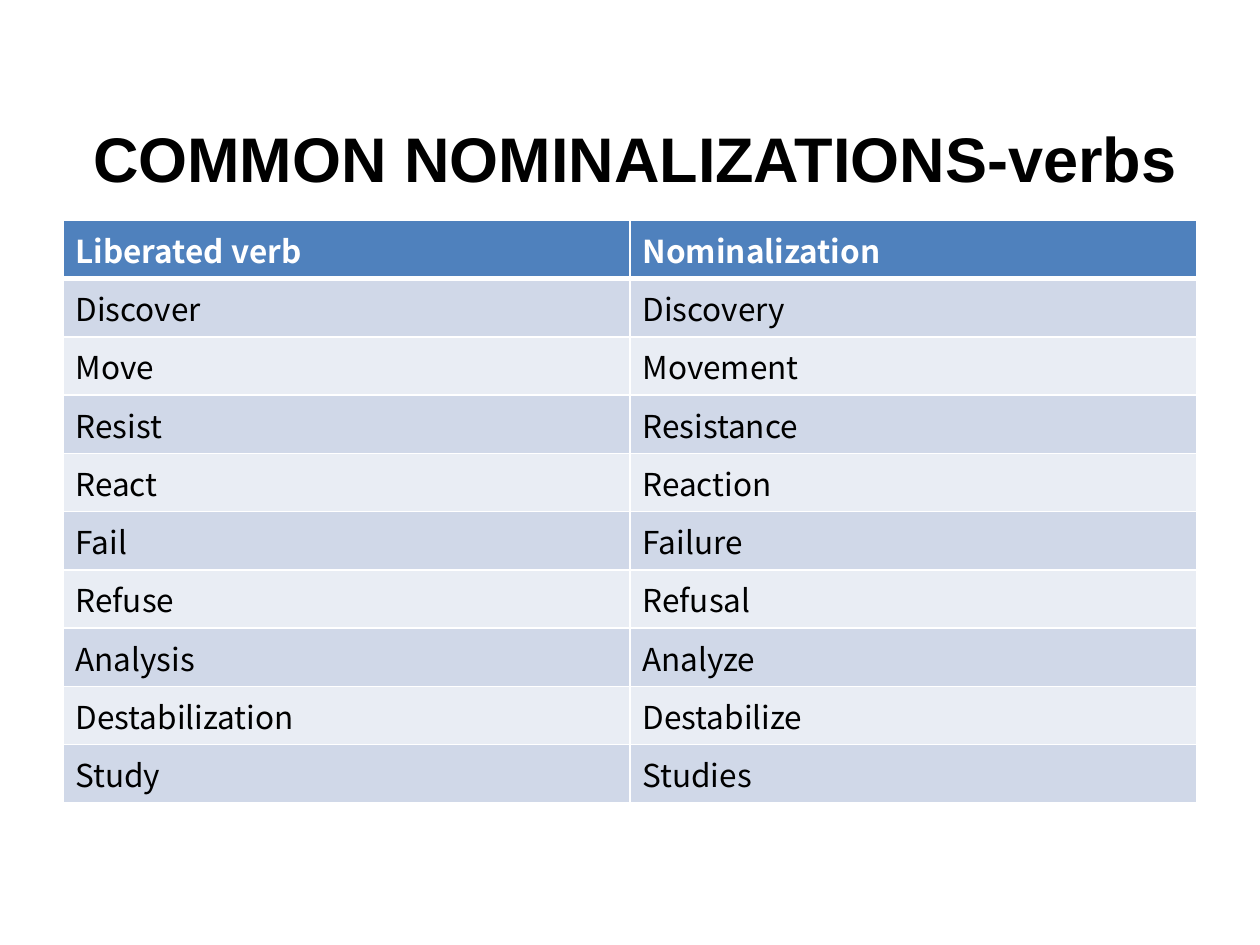
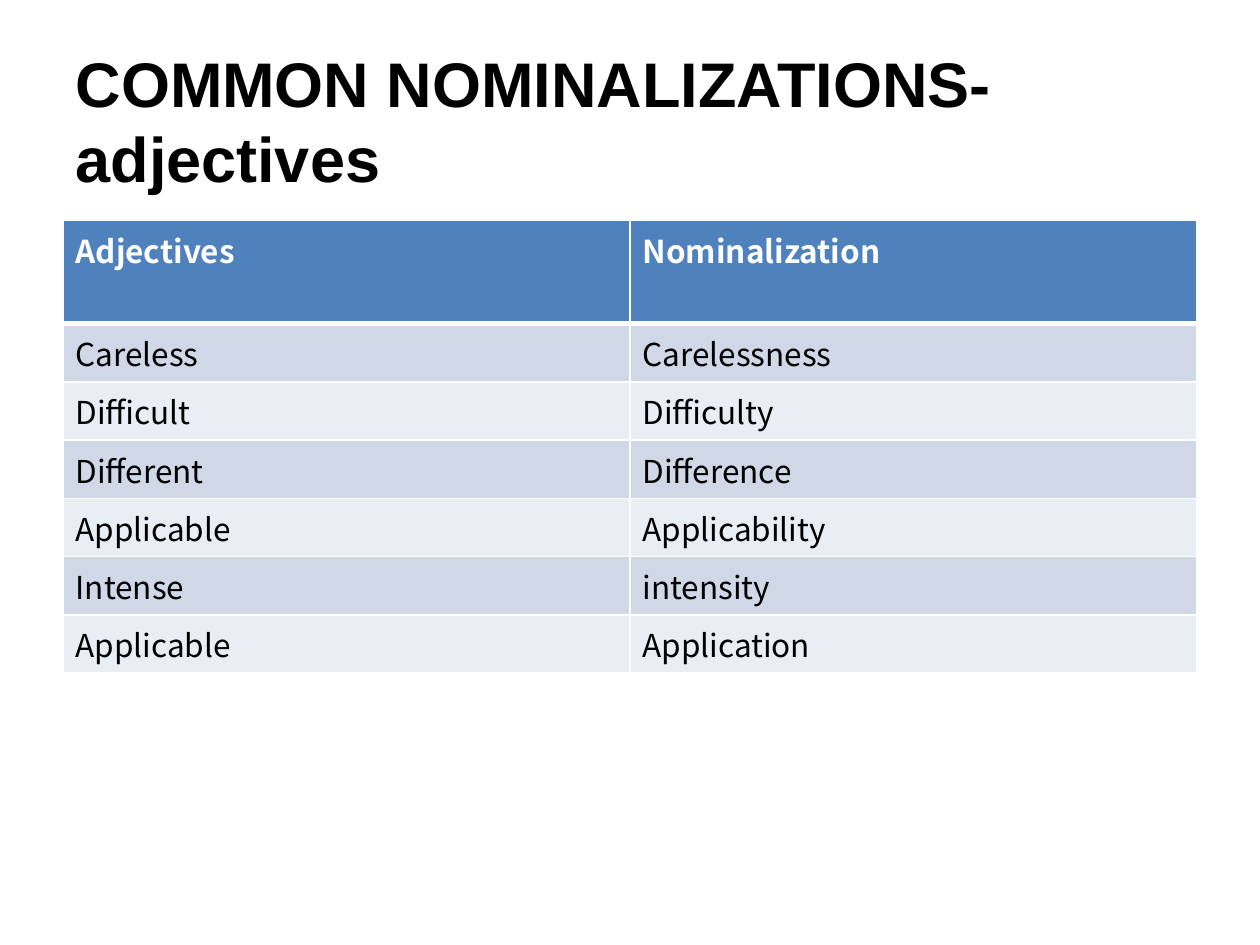
from pptx import Presentation
from pptx.dml.color import RGBColor
from pptx.enum.text import MSO_ANCHOR as Anchor, MSO_AUTO_SIZE as AutoSize, PP_ALIGN as Align
from pptx.oxml import parse_xml
from pptx.oxml.ns import nsdecls
from pptx.util import Pt

# Shared style
WHITE, BLACK = "FFFFFF", "000000"
HEADER_FILL = "4F81BD"
BAND_FILLS = ("D0D8E8", "E9EDF4")
TITLE_FONT, TABLE_FONT = "Arial", "Noto Sans CJK KR"
TITLE_BOX = (36, 21.6, 648, 90)  # left, top, width, height
TABLE_BOX = (36, 126, 648)       # left, top, width
ROW_HEIGHT = 33.25
THIN, THICK = 1, 3

VERBS = [
    ("Liberated verb", "Nominalization"),
    ("Discover", "Discovery"),
    ("Move", "Movement"),
    ("Resist", "Resistance"),
    ("React", "Reaction"),
    ("Fail", "Failure"),
    ("Refuse", "Refusal"),
    ("Analysis", "Analyze"),
    ("Destabilization", "Destabilize"),
    ("Study", "Studies"),
]
ADJECTIVES = [
    ("Adjectives", "Nominalization"),
    ("Careless", "Carelessness"),
    ("Difficult", "Difficulty"),
    ("Different", "Difference"),
    ("Applicable", "Applicability"),
    ("Intense", "intensity"),
    ("Applicable", "Application"),
]


def color(hex_string):
    return RGBColor.from_string(hex_string)


def style_font(font, name, size, hex_string, bold):
    font.name, font.size, font.bold = name, Pt(size), bold
    font.color.rgb = color(hex_string)


def place_title(slide, box, text, indent=0):
    """Bold title, left aligned on the bottom edge of its box."""
    title = slide.shapes.title
    title.left, title.top, title.width, title.height = map(Pt, box)
    frame = title.text_frame
    frame.text = text
    frame.word_wrap = True
    frame.auto_size = AutoSize.NONE
    frame.vertical_anchor = Anchor.BOTTOM
    frame.margin_left, frame.margin_right = Pt(7.2 + indent), Pt(7.2)
    frame.margin_bottom = 0
    paragraph = frame.paragraphs[0]
    paragraph.alignment = Align.LEFT
    style_font(paragraph.font, TITLE_FONT, 36, BLACK, True)


def set_borders(cell, top, bottom):
    """White lines; the schema wants them ahead of the cell fill."""
    properties = cell._tc.get_or_add_tcPr()
    widths = {"lnL": THIN, "lnR": THIN, "lnT": top, "lnB": bottom}
    for position, (tag, width) in enumerate(widths.items()):
        properties.insert(position, parse_xml(
            f'<a:{tag} {nsdecls("a")} w="{Pt(width)}"><a:solidFill>'
            f'<a:srgbClr val="{WHITE}"/></a:solidFill></a:{tag}>'))


def place_table(slide, box, rows, header_height=ROW_HEIGHT):
    """Two-column word list with a header row and banded body."""
    left, top, width = box
    height = header_height + ROW_HEIGHT * (len(rows) - 1)
    table = slide.shapes.add_table(
        len(rows), len(rows[0]), Pt(left), Pt(top), Pt(width), Pt(height)).table
    for row_index, words in enumerate(rows):
        header = row_index == 0
        table.rows[row_index].height = Pt(header_height if header else ROW_HEIGHT)
        fill = HEADER_FILL if header else BAND_FILLS[(row_index - 1) % 2]
        for column_index, word in enumerate(words):
            cell = table.cell(row_index, column_index)
            cell.text = word
            cell.fill.solid()
            cell.fill.fore_color.rgb = color(fill)
            set_borders(cell, THICK if row_index == 1 else THIN,
                        THICK if header else THIN)
            style_font(cell.text_frame.paragraphs[0].font, TABLE_FONT, 18,
                       WHITE if header else BLACK, header)


presentation = Presentation()
presentation.slide_width, presentation.slide_height = Pt(720), Pt(540)
title_only = presentation.slide_layouts[5]

# Verbs
slide = presentation.slides.add_slide(title_only)
place_title(slide, TITLE_BOX, "COMMON NOMINALIZATIONS-verbs", indent=10)
place_table(slide, TABLE_BOX, VERBS)

# Adjectives
slide = presentation.slides.add_slide(title_only)
place_title(slide, TITLE_BOX, "COMMON NOMINALIZATIONS-\vadjectives")
place_table(slide, TABLE_BOX, ADJECTIVES, header_height=59)

presentation.save("out.pptx")
